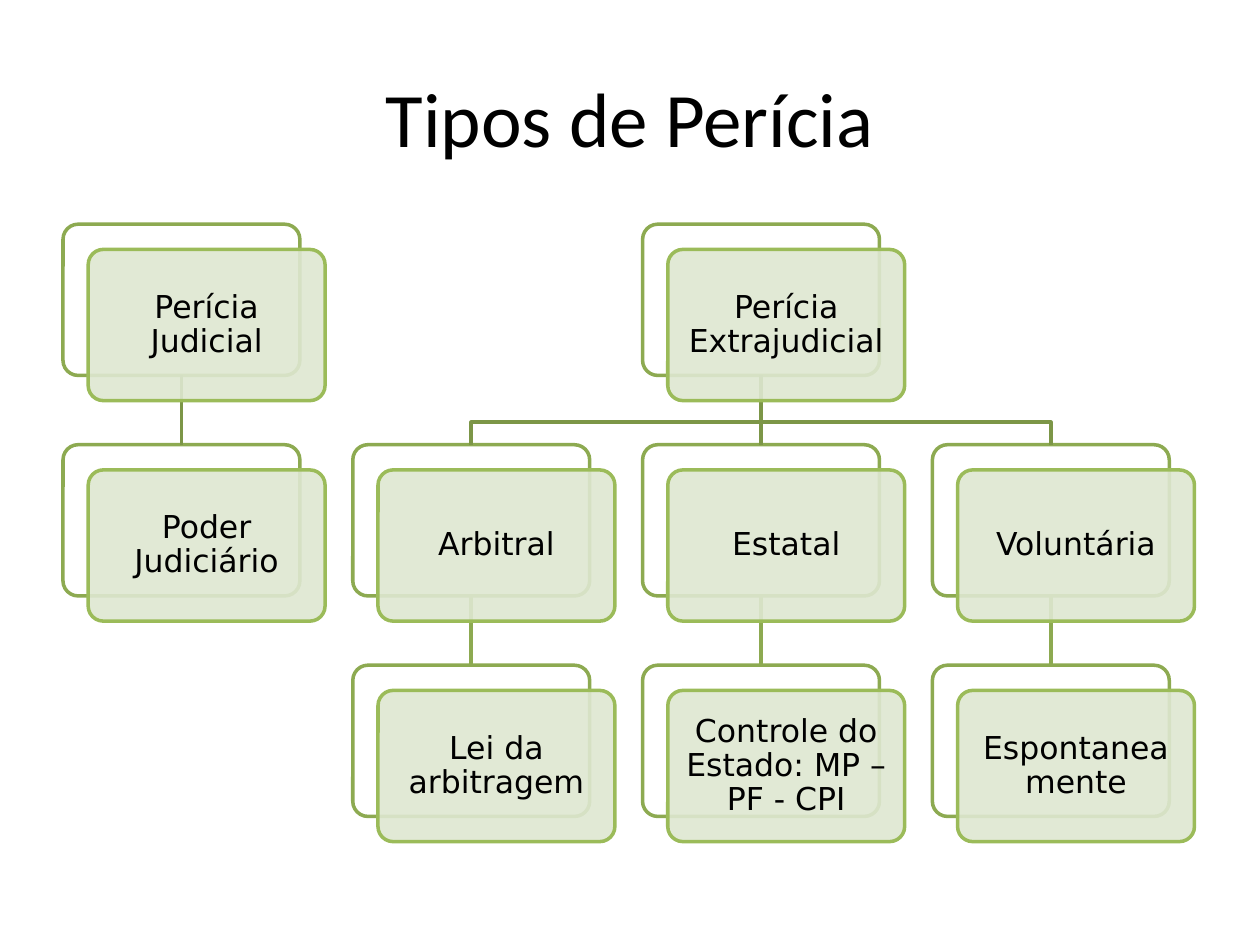
from dataclasses import dataclass

from lxml import etree
from pptx import Presentation
from pptx.dml.color import RGBColor
from pptx.enum.shapes import MSO_CONNECTOR, MSO_SHAPE
from pptx.enum.text import MSO_ANCHOR, PP_ALIGN
from pptx.oxml.ns import qn
from pptx.util import Inches, Pt

ROUNDED = MSO_SHAPE.ROUNDED_RECTANGLE
STRAIGHT = MSO_CONNECTOR.STRAIGHT
CENTER = PP_ALIGN.CENTER
MIDDLE = MSO_ANCHOR.MIDDLE
BOTTOM_SITE, TOP_SITE = 2, 0

LEFT, TOP = 0.5, 1.78
COLUMN_STEP, ROW_STEP = 2.3, 1.75
CARD_WIDTH, CARD_HEIGHT = 1.88, 1.2
FRONT_OFFSET = 0.2
BRANCH_DROP = 0.37
BACK_LINE, FRONT_LINE = "8DAA51", "9BBB59"
ROOT_LINK, CHILD_LINK = "7C9647", "8DAA51"


@dataclass(frozen=True)
class Card:
    text: str
    column: int
    row: int

    @property
    def left(self) -> float:
        return LEFT + self.column * COLUMN_STEP

    @property
    def top(self) -> float:
        return TOP + self.row * ROW_STEP

    @property
    def center(self) -> float:
        return self.left + CARD_WIDTH / 2


@dataclass(frozen=True)
class Link:
    parent: Card
    child: Card

    @property
    def color(self) -> str:
        return ROOT_LINK if self.parent.row == 0 else CHILD_LINK


JUDICIAL = Card("Perícia Judicial", 0, 0)
JUDICIARY = Card("Poder Judiciário", 0, 1)
EXTRAJUDICIAL = Card("Perícia Extrajudicial", 2, 0)
ARBITRAL = Card("Arbitral", 1, 1)
ARBITRATION_LAW = Card("Lei da arbitragem", 1, 2)
STATE = Card("Estatal", 2, 1)
STATE_CONTROL = Card("Controle do Estado: MP – PF - CPI", 2, 2)
VOLUNTARY = Card("Voluntária", 3, 1)
SPONTANEOUS = Card("Espontaneamente", 3, 2)

CARDS = [JUDICIAL, JUDICIARY, EXTRAJUDICIAL, ARBITRAL, ARBITRATION_LAW,
         STATE, STATE_CONTROL, VOLUNTARY, SPONTANEOUS]
LINKS = [
    Link(VOLUNTARY, SPONTANEOUS),
    Link(EXTRAJUDICIAL, VOLUNTARY),
    Link(STATE, STATE_CONTROL),
    Link(EXTRAJUDICIAL, STATE),
    Link(ARBITRAL, ARBITRATION_LAW),
    Link(EXTRAJUDICIAL, ARBITRAL),
    Link(JUDICIAL, JUDICIARY),
]


def rgb(color: str) -> RGBColor:
    return RGBColor.from_string(color)


def write_text(shape, text: str, *, font: str, size: float, color: str = "000000",
               line_spacing: float | None = None, inset: float | None = None) -> None:
    frame = shape.text_frame
    frame.word_wrap = True
    frame.vertical_anchor = MIDDLE
    if inset is not None:
        frame.margin_left = frame.margin_right = Inches(inset)
        frame.margin_top = frame.margin_bottom = Inches(inset)
    frame.text = text
    paragraph = frame.paragraphs[0]
    paragraph.alignment = CENTER
    if line_spacing is not None:
        paragraph.line_spacing = line_spacing
    run_font = paragraph.runs[0].font
    run_font.name = font
    run_font.size = Pt(size)
    run_font.color.rgb = rgb(color)


def style_line(shape, color: str) -> None:
    shape.line.color.rgb = rgb(color)
    shape.line.width = Pt(2)


def draw_panel(slide, left: float, top: float, fill: str, line: str):
    panel = slide.shapes.add_shape(
        ROUNDED, Inches(left), Inches(top), Inches(CARD_WIDTH), Inches(CARD_HEIGHT))
    panel.adjustments[0] = 0.1
    panel.shadow.inherit = False
    panel.fill.solid()
    panel.fill.fore_color.rgb = rgb(fill)
    style_line(panel, line)
    return panel


def draw_front(slide, card: Card) -> None:
    panel = draw_panel(slide, card.left + FRONT_OFFSET, card.top + FRONT_OFFSET,
                       "DEE7D1", FRONT_LINE)
    fill_color = panel.fill._xPr.find(qn("a:solidFill"))[0]
    etree.SubElement(fill_color, qn("a:alpha"), val="90000")
    write_text(panel, card.text, font="DejaVu Sans", size=18,
               line_spacing=0.9, inset=0.07)


def draw_straight(slide, link: Link, backs: dict) -> None:
    connector = slide.shapes.add_connector(STRAIGHT, 0, 0, 0, 0)
    connector.begin_connect(backs[link.parent], BOTTOM_SITE)
    connector.end_connect(backs[link.child], TOP_SITE)
    style_line(connector, link.color)
    etree.SubElement(connector._element.spPr, qn("a:effectLst"))


def draw_branch(slide, link: Link) -> None:
    start, end = link.parent.center, link.child.center
    bottom = link.parent.top + CARD_HEIGHT
    bend = bottom + BRANCH_DROP
    builder = slide.shapes.build_freeform(Inches(start), Inches(bottom))
    builder.add_line_segments(
        [(Inches(x), Inches(y)) for x, y in
         [(start, bend), (end, bend), (end, link.child.top)]], close=False)
    branch = builder.convert_to_shape()
    branch.shadow.inherit = False
    branch.fill.background()
    style_line(branch, link.color)


def draw_title(slide, text: str) -> None:
    title = slide.shapes.title
    title.left, title.top = Inches(0.5), Inches(0.3)
    title.width, title.height = Inches(9), Inches(1.25)
    write_text(title, text, font="Calibri", size=44)


def main() -> None:
    presentation = Presentation()
    presentation.slide_width = Inches(10)
    presentation.slide_height = Inches(7.5)
    slide = presentation.slides.add_slide(presentation.slide_layouts[5])
    draw_title(slide, "Tipos de Perícia")
    backs = {card: draw_panel(slide, card.left, card.top, "FFFFFF", BACK_LINE)
             for card in CARDS}
    for link in LINKS:
        if link.parent.column == link.child.column:
            draw_straight(slide, link, backs)
        else:
            draw_branch(slide, link)
    for card in CARDS:
        draw_front(slide, card)
    presentation.save("out.pptx")


if __name__ == "__main__":
    main()
